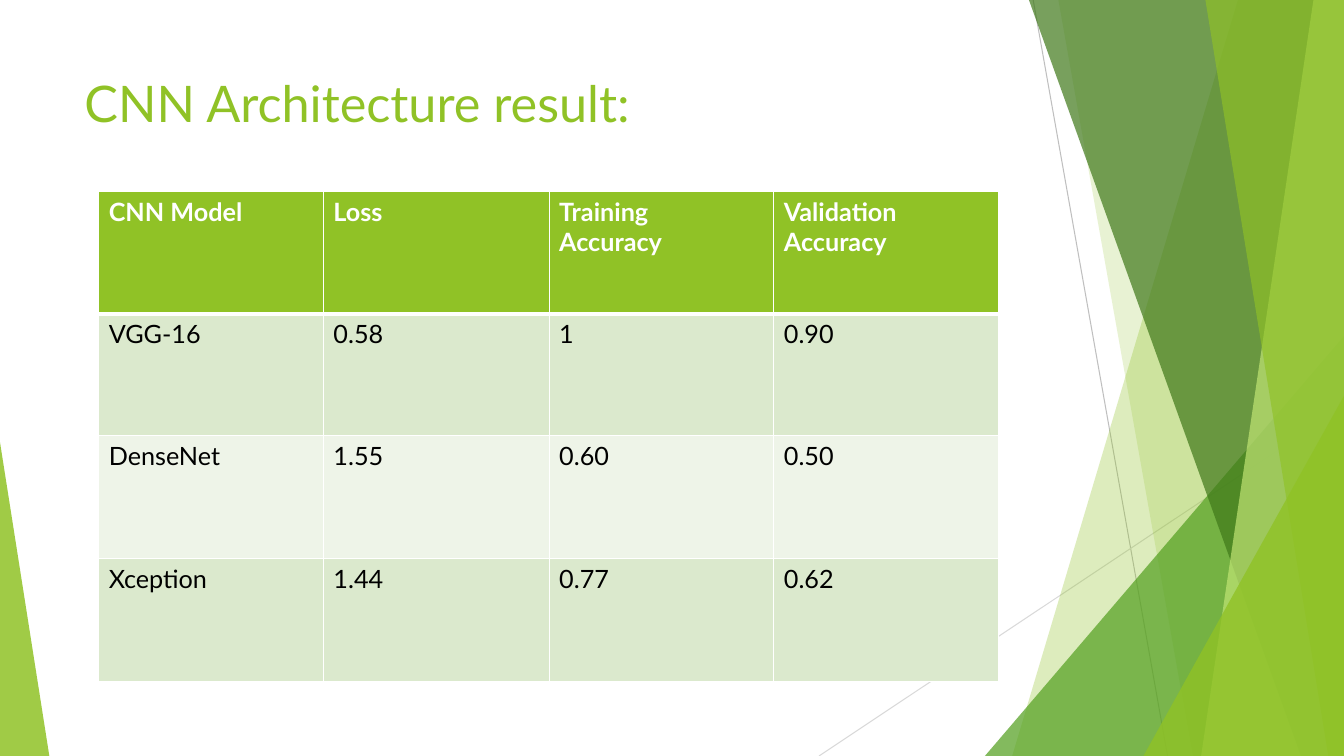
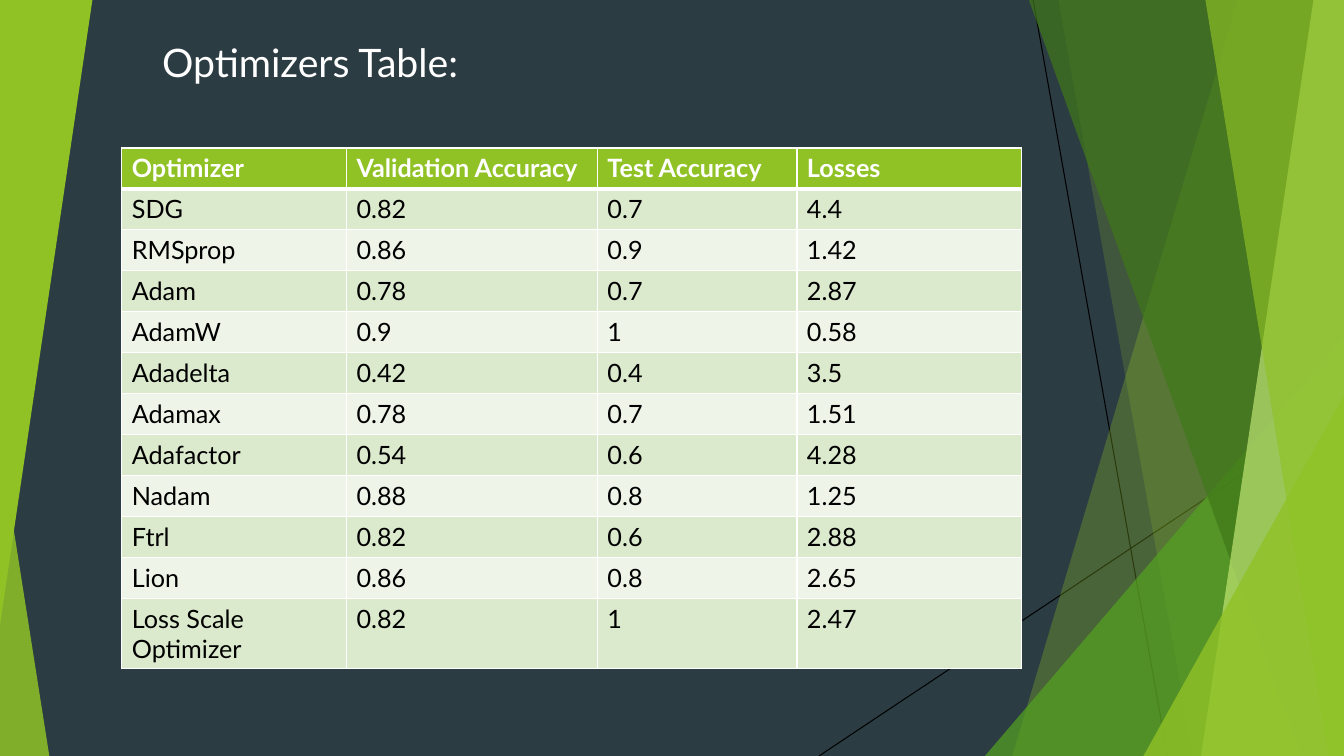
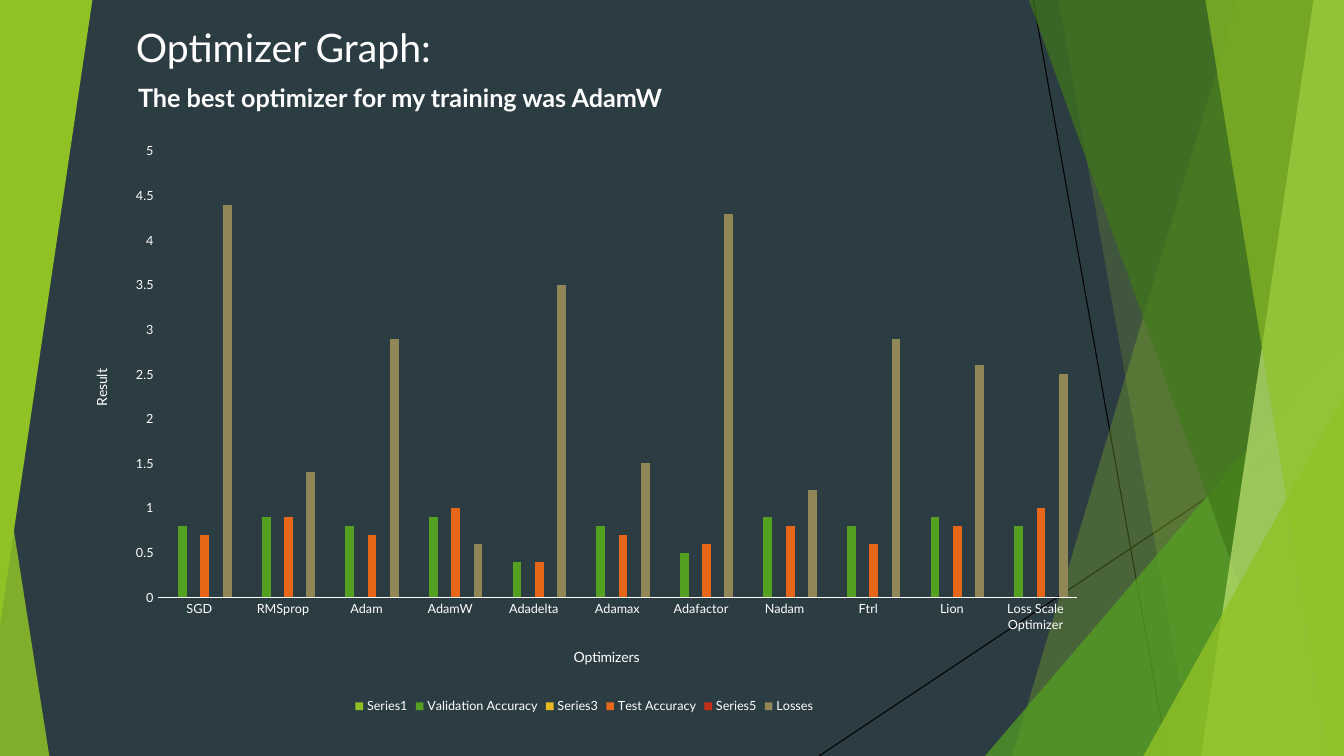
import pptx
import pptx.chart.data
import pptx.dml.color
import pptx.enum.chart
import pptx.enum.shapes
import pptx.oxml
import pptx.oxml.ns
import pptx.util

PX = 9525  # EMU in one px
WIDTH, HEIGHT = 1280, 720

FONT = "Lato"
WHITE, BLACK, DARK = "FFFFFF", "000000", "2C3C43"
LIME, GREEN, FOREST, PALE = "90C226", "54A021", "3F7819", "C0E474"
YELLOW, ORANGE, RED, OLIVE = "E6B91E", "E76618", "C42F1A", "918655"
ROW_FILLS = ("DBE9CD", "EEF4E8")

MODELS = [
    ("CNN Model", "Loss", "Training\nAccuracy", "Validation\nAccuracy"),
    ("VGG-16", "0.58", "1", "0.90"),
    ("DenseNet", "1.55", "0.60", "0.50"),
    ("Xception", "1.44", "0.77", "0.62"),
]
OPTIMIZERS = [
    ("Optimizer", "Validation Accuracy", "Test Accuracy", "Losses"),
    ("SDG", "0.82", "0.7", "4.4"),
    ("RMSprop", "0.86", "0.9", "1.42"),
    ("Adam", "0.78", "0.7", "2.87"),
    ("AdamW", "0.9", "1", "0.58"),
    ("Adadelta", "0.42", "0.4", "3.5"),
    ("Adamax", "0.78", "0.7", "1.51"),
    ("Adafactor", "0.54", "0.6", "4.28"),
    ("Nadam", "0.88", "0.8", "1.25"),
    ("Ftrl", "0.82", "0.6", "2.88"),
    ("Lion", "0.86", "0.8", "2.65"),
    ("Loss Scale Optimizer", "0.82", "1", "2.47"),
]


def px(*lengths):
    return [pptx.util.Emu(n * PX) for n in lengths]


def rgb(color):
    return pptx.dml.color.RGBColor.from_string(color)


def set_font(font, size, color, bold=False):
    font.name = FONT
    font.size = pptx.util.Pt(size)
    font.bold = bold
    font.color.rgb = rgb(color)


def paint(sp, color, opacity=100):
    sp.shadow.inherit = False
    sp.line.fill.background()
    sp.fill.solid()
    sp.fill.fore_color.rgb = rgb(color)
    if opacity < 100:
        clr = sp.element.xpath("./p:spPr/a:solidFill/a:srgbClr")[0]
        alpha = pptx.oxml.parse_xml(
            f'<a:alpha {pptx.oxml.ns.nsdecls("a")} val="{opacity * 1000}"/>')
        clr.append(alpha)


def add_line(slide, ends, color):
    line = slide.shapes.add_connector(
        pptx.enum.shapes.MSO_CONNECTOR.STRAIGHT, *px(*ends))
    line.line.color.rgb = rgb(color)
    line.line.width = pptx.util.Pt(0.75)
    line.element.spPr.append(
        pptx.oxml.parse_xml(f'<a:effectLst {pptx.oxml.ns.nsdecls("a")}/>'))


def add_band(slide, top_x, bottom_x, color, opacity):
    """Full-height band from a slanted left edge to the slide's right edge."""
    fb = slide.shapes.build_freeform(top_x, 0, scale=PX)
    fb.add_line_segments([(WIDTH, 0), (WIDTH, HEIGHT), (bottom_x, HEIGHT)])
    paint(fb.convert_to_shape(), color, opacity)


def add_triangle(slide, box, apex, color, opacity=100, rotation=0):
    sp = slide.shapes.add_shape(
        pptx.enum.shapes.MSO_SHAPE.ISOSCELES_TRIANGLE, *px(*box))
    sp.adjustments[0] = apex
    sp.rotation = rotation
    paint(sp, color, opacity)


def add_text(slide, box, text, size, color, bold=False):
    tf = slide.shapes.add_textbox(*px(*box)).text_frame
    tf.word_wrap = True
    p = tf.paragraphs[0]
    p.text = text
    set_font(p.font, size, color, bold)


def add_slide(prs, background, steep_line, shallow_line):
    slide = prs.slides.add_slide(prs.slide_layouts[6])
    slide.background.fill.solid()
    slide.background.fill.fore_color.rgb = rgb(background)
    # Facets on the right, from back to front
    add_line(slide, (984, 0, 1112, 720), steep_line)
    add_line(slide, (1280, 387, 780, 720), shallow_line)
    add_band(slide, 1179, 964, LIME, 30)
    add_band(slide, 1008, 1136, LIME, 20)
    add_triangle(slide, (938, 320, 342, 400), 1, GREEN, 72)
    add_band(slide, 980, 1239, FOREST, 70)
    add_band(slide, 1251, 1144, PALE, 70)
    add_band(slide, 1148, 1265, LIME, 65)
    add_triangle(slide, (1089, 377, 191, 343), 1, LIME, 80)
    # Wedge at lower left
    add_triangle(slide, (0, 421, 47, 299), 0, LIME, 85)
    return slide


def add_dark_slide(prs):
    slide = add_slide(prs, DARK, BLACK, BLACK)
    add_triangle(slide, (0, 0, 88, 595), 1, LIME, rotation=180)
    return slide


def set_borders(cell, top, bottom):
    """White borders; the side ones are 1 pt wide."""
    tcPr = cell._tc.get_or_add_tcPr()
    for i, (side, pt) in enumerate(
            (("L", 1), ("R", 1), ("T", top), ("B", bottom))):
        tcPr.insert(i, pptx.oxml.parse_xml(
            f'<a:ln{side} {pptx.oxml.ns.nsdecls("a")} w="{pt * 12700}">'
            f'<a:solidFill><a:srgbClr val="{WHITE}"/></a:solidFill>'
            f'</a:ln{side}>'))


def add_table(slide, left, top, widths, heights, rows):
    table = slide.shapes.add_table(
        len(rows), len(widths),
        *px(left, top, sum(widths), sum(heights))).table
    for column, width in zip(table.columns, px(*widths)):
        column.width = width
    for row, height in zip(table.rows, px(*heights)):
        row.height = height
    for i, texts in enumerate(rows):
        header = i == 0
        for j, text in enumerate(texts):
            cell = table.cell(i, j)
            cell.text = text
            cell.fill.solid()
            cell.fill.fore_color.rgb = rgb(
                LIME if header else ROW_FILLS[(i - 1) % 2])
            set_borders(cell, 3 if i == 1 else 1, 3 if header else 1)
            for p in cell.text_frame.paragraphs:
                set_font(p.font, 18, WHITE if header else BLACK, header)


def set_layout(parent, chart_size, place):
    """Place a chart part by px from the chart's corner: x, y and maybe w, h."""
    for old in parent.findall(pptx.oxml.ns.qn("c:layout")):
        parent.remove(old)
    target = '<c:layoutTarget val="inner"/>' if len(place) == 4 else ""
    modes = '<c:xMode val="edge"/><c:yMode val="edge"/>'
    sizes = "".join(f'<c:{k} val="{n / total}"/>'
                    for k, n, total in zip("xywh", place, chart_size * 2))
    layout = pptx.oxml.parse_xml(
        f'<c:layout {pptx.oxml.ns.nsdecls("c")}><c:manualLayout>'
        f'{target}{modes}{sizes}</c:manualLayout></c:layout>')
    parent.insert(len(parent.findall(pptx.oxml.ns.qn("c:tx"))), layout)


def style_axis(axis, title):
    axis.has_major_gridlines = False
    axis.major_tick_mark = pptx.enum.chart.XL_TICK_MARK.NONE
    set_font(axis.tick_labels.font, 9, WHITE)
    p = axis.axis_title.text_frame.paragraphs[0]
    p.text = title
    set_font(p.font, 10, WHITE)


def add_optimizer_chart(slide, box):
    names, *results = zip(*OPTIMIZERS[1:])
    data = pptx.chart.data.CategoryChartData()
    data.categories = ("SGD",) + names[1:]
    # An empty series stands before each measured one
    for i, (label, values) in enumerate(zip(OPTIMIZERS[0][1:], results)):
        data.add_series(f"Series{2 * i + 1}", [None] * len(names))
        data.add_series(label, [round(float(v), 1) for v in values])
    chart = slide.shapes.add_chart(
        pptx.enum.chart.XL_CHART_TYPE.COLUMN_CLUSTERED, *px(*box), data).chart
    chart.has_title = False
    set_font(chart.font, 10, WHITE)

    plot = chart.plots[0]
    plot.gap_width, plot.overlap = 219, -27
    plot.vary_by_categories = False
    for series, color in zip(
            plot.series, (LIME, GREEN, YELLOW, ORANGE, RED, OLIVE)):
        series.format.fill.solid()
        series.format.fill.fore_color.rgb = rgb(color)

    style_axis(chart.category_axis, "Optimizers")
    chart.category_axis.format.line.color.rgb = rgb(WHITE)
    chart.category_axis.format.line.width = pptx.util.Pt(0.75)
    value_axis = chart.value_axis
    style_axis(value_axis, "Result")
    value_axis.format.line.fill.background()
    value_axis.minimum_scale, value_axis.maximum_scale = 0, 5
    value_axis.major_unit = 0.5

    chart.has_legend = True
    chart.legend.position = pptx.enum.chart.XL_LEGEND_POSITION.BOTTOM
    chart.legend.include_in_layout = False
    set_font(chart.legend.font, 9, WHITE)

    for part, place in (("c:plotArea", (82, 19, 876, 425)),
                        ("c:catAx/c:title", (476, 489)),
                        ("c:valAx/c:title", (17, 224))):
        set_layout(chart.element.xpath(f".//{part}")[0], box[2:], place)


def main():
    prs = pptx.Presentation()
    prs.slide_width, prs.slide_height = px(WIDTH, HEIGHT)

    # Results by architecture
    slide = add_slide(prs, WHITE, "BFBFBF", "D9D9D9")
    add_text(slide, (71, 64, 902, 138), "CNN Architecture result:", 36, LIME)
    add_table(slide, 94, 182, [214, 215, 214, 214], [117, 116, 117, 117],
              MODELS)

    # Results by optimizer
    slide = add_dark_slide(prs)
    add_table(slide, 116, 141, [214, 239, 190, 214], [39] * 11 + [67],
              OPTIMIZERS)
    add_text(slide, (145, 32, 440, 55), "Optimizers Table:", 28, WHITE)

    # Optimizer chart
    slide = add_dark_slide(prs)
    add_optimizer_chart(slide, (68, 125, 977, 559))
    add_text(slide, (120, 17, 566, 55), "Optimizer Graph:", 28, WHITE)
    add_text(slide, (122, 74, 639, 38),
             "The best optimizer for my training was AdamW", 18, WHITE, True)

    prs.save("out.pptx")


if __name__ == "__main__":
    main()
